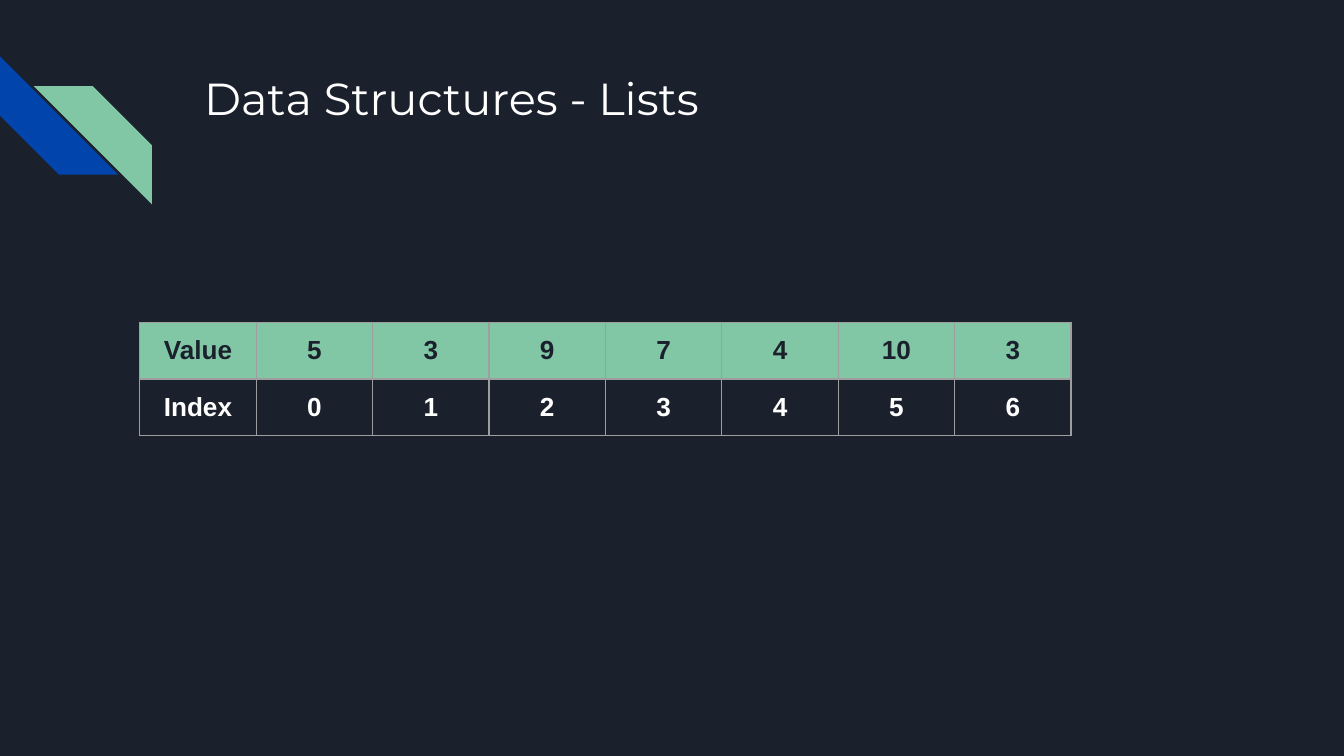
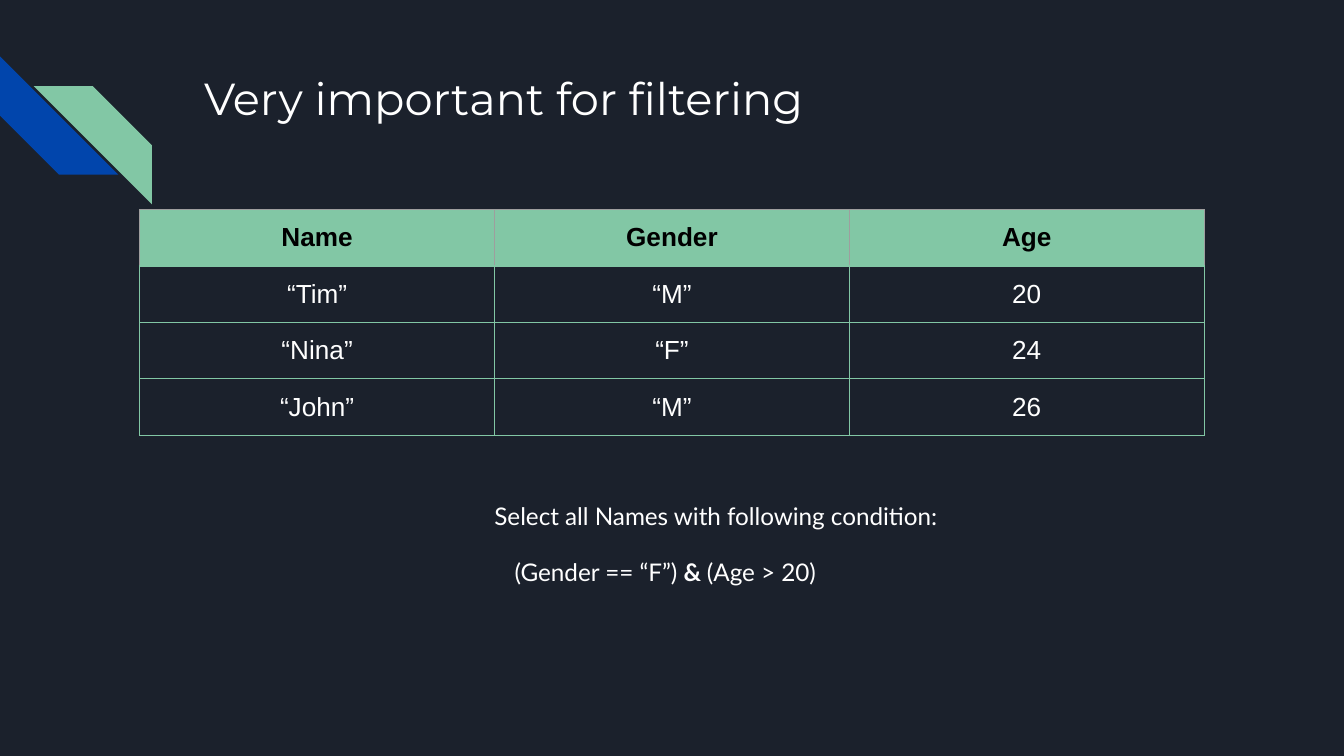
from lxml.etree import SubElement
from pptx import Presentation
from pptx.dml.color import RGBColor
from pptx.enum.shapes import MSO_SHAPE
from pptx.enum.text import MSO_ANCHOR, PP_ALIGN
from pptx.oxml.ns import qn
from pptx.util import Inches, Pt

NAVY = RGBColor(0x1B, 0x21, 0x2C)
BLUE = RGBColor(0x01, 0x45, 0xAC)
GREEN = RGBColor(0x82, 0xC7, 0xA5)
GREY = RGBColor(0x9E, 0x9E, 0x9E)
WHITE = RGBColor(0xFF, 0xFF, 0xFF)
BLACK = RGBColor(0x00, 0x00, 0x00)

LISTS = [
    ["Value", "5", "3", "9", "7", "4", "10", "3"],
    ["Index", "0", "1", "2", "3", "4", "5", "6"],
]
PEOPLE = [
    ["Name", "Gender", "Age"],
    ["“Tim”", "“M”", "20"],
    ["“Nina”", "“F”", "24"],
    ["“John”", "“M”", "26"],
]
QUERY = [
    (1, 0, [("Select all Names with following condition:", False)]),
    (0.25, 12, [("(Gender == “F”) ", False), ("& ", True), ("(Age > 20)", False)]),
]
WIDTH = 10
HEIGHT = WIDTH * 9 / 16
LEFT = 1.04
ROW = 0.42
STRIPE = 0.88


def style(para, name, size, color):
    font = para.font
    font.name, font.size, font.color.rgb = name, Pt(size), color


def add_text(slide, left, top, width, height):
    box = slide.shapes.add_textbox(Inches(left), Inches(top), Inches(width), Inches(height))
    frame = box.text_frame
    frame.word_wrap = True
    frame.vertical_anchor = MSO_ANCHOR.TOP
    frame.margin_left = frame.margin_right = Inches(0.1)
    frame.margin_top = frame.margin_bottom = Inches(0.1)
    return frame


def add_stripe(slide, left, top, color):
    side = Inches(STRIPE)
    stripe = slide.shapes.add_shape(
        MSO_SHAPE.DIAGONAL_STRIPE, Inches(left), Inches(top), side, side)
    stripe.shadow.inherit = False
    stripe.fill.solid()
    stripe.fill.fore_color.rgb = color
    stripe.line.fill.background()
    return stripe


def add_page(deck, title):
    slide = deck.slides.add_slide(deck.slide_layouts[6])
    add_stripe(slide, 0, 0.42, BLUE).rotation = 270
    green = add_stripe(slide, 0.25, 0.64, GREEN)
    green.element.spPr.find(qn("a:xfrm")).set("flipH", "1")
    para = add_text(slide, 1.42, 0.43, 7.7, 1).paragraphs[0]
    para.text = title
    style(para, "Montserrat", 24, WHITE)
    return slide


def set_edges(cell, colors):
    props = cell._tc.get_or_add_tcPr()
    for side, color in zip("LRTB", colors):
        line = SubElement(props, qn("a:ln" + side), w=str(Pt(0.75)))
        fill = SubElement(line, qn("a:solidFill"))
        SubElement(fill, qn("a:srgbClr"), val=str(color))


def add_grid(slide, rows, top, width, ink, edge, bold):
    count = len(rows[0])
    table = slide.shapes.add_table(
        len(rows), count, Inches(LEFT), Inches(top),
        Inches(width), Inches(ROW * len(rows))).table
    table.first_row = table.horz_banding = False
    for col in table.columns:
        col.width = Inches(width / count)
    for r, row in enumerate(rows):
        table.rows[r].height = Inches(ROW)
        head = r == 0
        for c, text in enumerate(row):
            cell = table.cell(r, c)
            set_edges(cell, [GREY] * 3 + [edge] if head else [edge] * 4)
            if head:
                cell.fill.solid()
                cell.fill.fore_color.rgb = GREEN
            else:
                cell.fill.background()
            cell.margin_left = cell.margin_right = cell.margin_top = Inches(0.1)
            cell.margin_bottom = Inches(0.08)
            para = cell.text_frame.paragraphs[0]
            para.text = text
            para.alignment = PP_ALIGN.CENTER
            style(para, "Arial", 14, ink if head else WHITE)
            para.font.bold = head or bold


def add_query(slide):
    frame = add_text(slide, LEFT, 3.6, 7.57, 1.39)
    for i, (indent, gap, parts) in enumerate(QUERY):
        para = frame.add_paragraph() if i else frame.paragraphs[0]
        para.alignment = PP_ALIGN.CENTER
        para.line_spacing = 1.15
        para.space_before = para.space_after = Pt(gap)
        props = para._p.get_or_add_pPr()
        props.set("marL", str(Inches(indent)))
        props.set("indent", "0")
        style(para, "Lato", 13, WHITE)
        for text, bold in parts:
            run = para.add_run()
            run.text = text
            run.font.bold = bold


def main():
    deck = Presentation()
    deck.slide_width, deck.slide_height = Inches(WIDTH), Inches(HEIGHT)
    back = deck.slide_master.background.fill
    back.solid()
    back.fore_color.rgb = NAVY

    add_grid(add_page(deck, "Data Structures - Lists"), LISTS, 2.4, 6.93, NAVY, GREY, True)

    page = add_page(deck, "Very important for filtering")
    add_query(page)
    add_grid(page, PEOPLE, 1.56, 7.92, BLACK, GREEN, False)
    deck.save("out.pptx")


if __name__ == "__main__":
    main()
